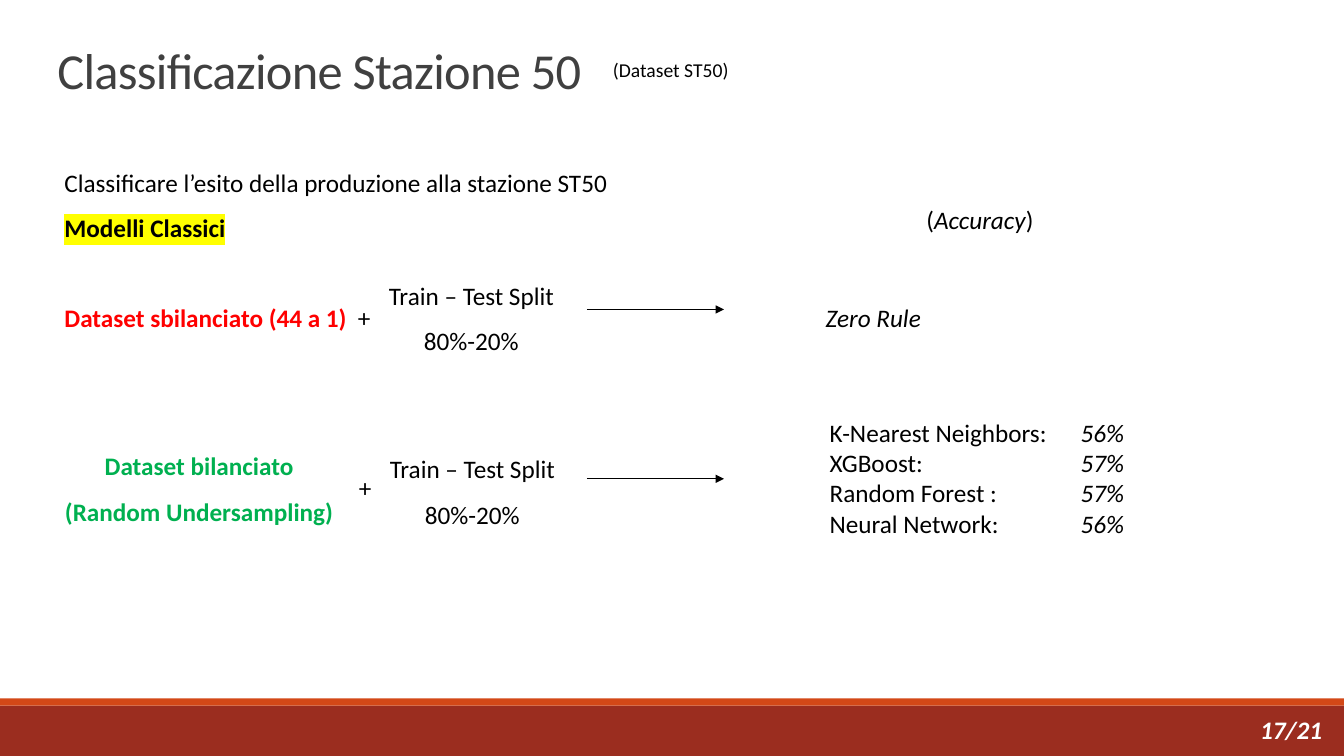
import pptx
import pptx.util
import pptx.dml.color
import pptx.enum.shapes
import pptx.enum.text
import pptx.oxml.ns
import lxml.etree

Inches = pptx.util.Inches
Pt = pptx.util.Pt
qn = pptx.oxml.ns.qn
ALIGN = pptx.enum.text.PP_ALIGN


def rgb(value):
    return pptx.dml.color.RGBColor.from_string(value)


def write(paragraphs, box, shape=None, size=18, color="000000", bold=False, italic=False,
          align=ALIGN.LEFT, line_spacing=1.0, tabs=(), anchor="TOP"):
    left, top, width, height = [Inches(value) for value in box]
    if shape is None:
        shape = slide.shapes.add_textbox(left, top, width, height)
    shape.left, shape.top, shape.width, shape.height = left, top, width, height
    frame = shape.text_frame
    frame.word_wrap = True
    frame.auto_size = pptx.enum.text.MSO_AUTO_SIZE.NONE
    frame.vertical_anchor = pptx.enum.text.MSO_ANCHOR[anchor]
    for index, runs in enumerate(paragraphs):
        paragraph = frame.add_paragraph() if index else frame.paragraphs[0]
        paragraph.alignment = align
        paragraph.line_spacing = line_spacing
        if tabs:
            properties = paragraph._p.get_or_add_pPr()
            tab_list = lxml.etree.SubElement(properties, qn("a:tabLst"))
            for position in tabs:
                lxml.etree.SubElement(tab_list, qn("a:tab"), pos=str(Inches(position)), algn="l")
        for text, changes in [(runs, {})] if isinstance(runs, str) else runs:
            run = paragraph.add_run()
            run.text = text
            run.font.name = "Calibri"
            run.font.size = Pt(size)
            run.font.bold = changes.get("bold", bold)
            run.font.italic = changes.get("italic", italic)
            run.font.color.rgb = rgb(changes.get("color", color))
            if "highlight" in changes:
                highlight = lxml.etree.Element(qn("a:highlight"))
                lxml.etree.SubElement(highlight, qn("a:srgbClr"), val=changes["highlight"])
                run.font._element.find(qn("a:solidFill")).addnext(highlight)
    return shape


presentation = pptx.Presentation()
presentation.slide_width = Inches(13.33)
presentation.slide_height = Inches(7.5)
slide = presentation.slides.add_slide(presentation.slide_layouts[5])

for top, height, color in [(7, 0.5, "9B2D1F"), (6.93, 0.07, "D34817")]:
    band = slide.shapes.add_shape(pptx.enum.shapes.MSO_SHAPE.RECTANGLE,
                                  0, Inches(top), presentation.slide_width, Inches(height))
    band.shadow.inherit = False
    band.fill.solid()
    band.fill.fore_color.rgb = rgb(color)
    band.line.fill.background()

title = write(["Classificazione Stazione 50"], (0.47, 0.27, 11, 0.77), shape=slide.shapes.title,
              size=36, color="404040", line_spacing=0.85, anchor="BOTTOM")
title.text_frame.paragraphs[0].runs[0].font._element.set("spc", "-50")
write(["(Dataset ST50)"], (5.98, 0.53, 1.36, 0.34), size=14)

overview = write([
    "Classificare l’esito della produzione alla stazione ST50",
    [("Modelli Classici", {"bold": True, "highlight": "FFFF00"})],
    [("Dataset sbilanciato (44 a 1)", {"bold": True, "color": "FF0000"}),
     ("\t+\t", {}), ("Zero Rule", {"italic": True})],
], (0.54, 1.46, 12.41, 2.33), line_spacing=1.5, tabs=(2.91, 7.55))
overview.text_frame.paragraphs[1].space_after = Pt(32)

write(["Dataset bilanciato", "(Random Undersampling)"], (0.54, 4.27, 2.87, 0.96),
      color="00B050", bold=True, align=ALIGN.CENTER, line_spacing=1.5)
write(["+"], (3.46, 4.49, 0.28, 0.51), line_spacing=1.5)

for split_left, split_top, arrow_y in [(3.74, 2.58, 3.07), (3.75, 4.3, 4.75)]:
    write(["Train – Test Split 80%-20%"], (split_left, split_top, 1.87, 0.96),
          align=ALIGN.CENTER, line_spacing=1.5)
    arrow = slide.shapes.add_connector(pptx.enum.shapes.MSO_CONNECTOR.STRAIGHT,
                                       Inches(5.82), Inches(arrow_y), Inches(7.18), Inches(arrow_y))
    arrow.line.color.rgb = rgb("000000")
    arrow.line.width = Pt(1)
    lxml.etree.SubElement(arrow.line._get_or_add_ln(), qn("a:tailEnd"), type="triangle")
    lxml.etree.SubElement(arrow._element.spPr, qn("a:effectLst"))

accuracies = [("K-Nearest Neighbors:", "56%"), ("XGBoost:", "57%"),
              ("Random Forest :", "57%"), ("Neural Network:", "56%")]
write([[(model + "\t", {}), (accuracy, {"italic": True})] for model, accuracy in accuracies],
      (8.13, 4.09, 3.22, 1.31), tabs=(2.49,))
write([[("(", {}), ("Accuracy", {"italic": True}), (")", {})]], (9.09, 1.98, 1.29, 0.4))
write(["17/21"], (12.4, 7.04, 0.82, 0.4), color="FFFFFF", bold=True, italic=True)

presentation.save("out.pptx")
